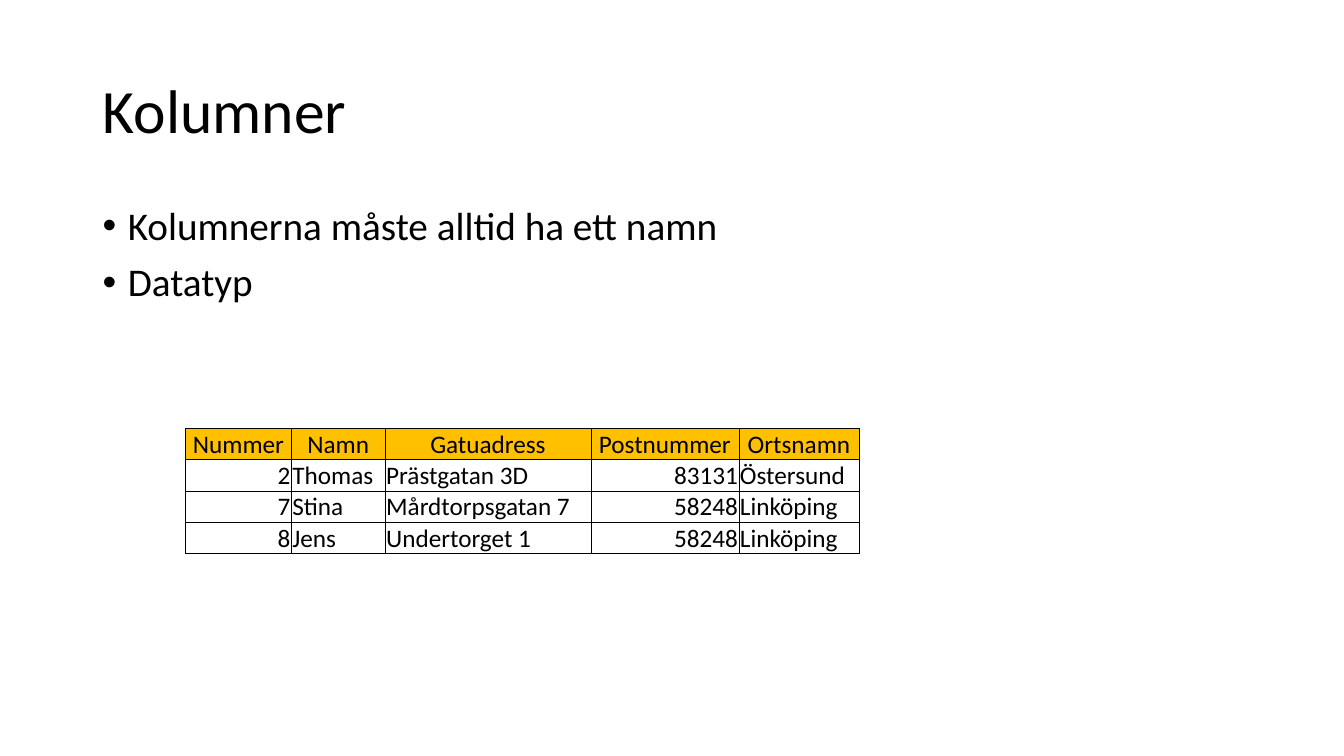
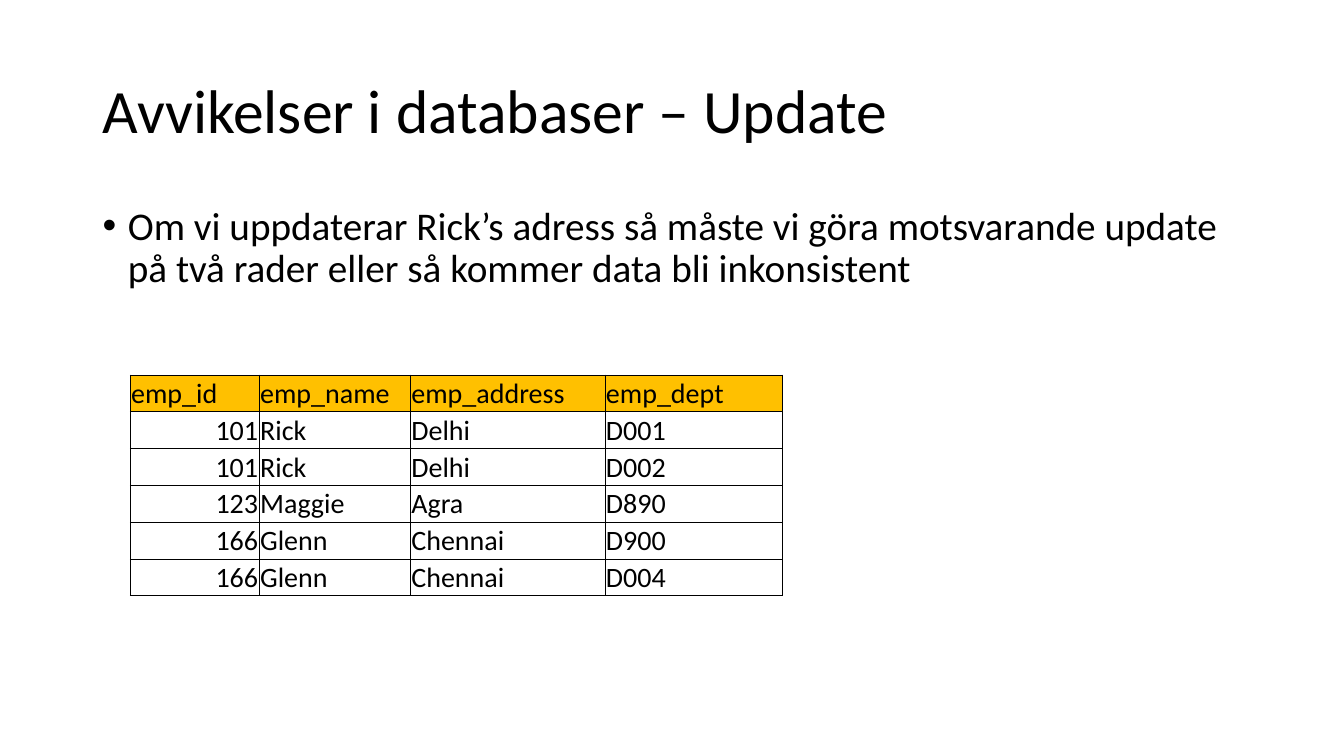
from dataclasses import dataclass

from lxml import etree
from pptx import Presentation
from pptx.dml.color import RGBColor
from pptx.enum.text import MSO_ANCHOR, PP_ALIGN
from pptx.oxml.ns import qn
from pptx.slide import Slide
from pptx.table import _Cell
from pptx.text.text import TextFrame, _Paragraph
from pptx.util import Inches, Pt

MIDDLE, TOP = MSO_ANCHOR.MIDDLE, MSO_ANCHOR.TOP
LEFT, CENTER, RIGHT = PP_ALIGN.LEFT, PP_ALIGN.CENTER, PP_ALIGN.RIGHT
FONT = "Calibri"
BLACK = "000000"
HEADER_FILL = "FFC000"
CONTENT_LEFT, CONTENT_WIDTH = 0.92, 11.5


@dataclass(frozen=True)
class DataTable:
    left: float
    top: float
    height: float
    column_widths: list[float]
    font_size: int
    header_align: int
    rows: list[list[str]]


@dataclass(frozen=True)
class Page:
    title: str
    bullets: list[str]
    data: DataTable


PAGES = [
    Page(
        "Kolumner",
        ["Kolumnerna måste alltid ha ett namn", "Datatyp"],
        DataTable(1.84, 4.25, 1.24, [1.05, 0.93, 2.04, 1.47, 1.19], 18, CENTER, [
            ["Nummer", "Namn", "Gatuadress", "Postnummer", "Ortsnamn"],
            ["2", "Thomas", "Prästgatan 3D", "83131", "Östersund"],
            ["7", "Stina", "Mårdtorpsgatan 7", "58248", "Linköping"],
            ["8", "Jens", "Undertorget 1", "58248", "Linköping"],
        ]),
    ),
    Page(
        "Avvikelser i databaser – Update",
        ["Om vi uppdaterar Rick’s adress så måste vi göra motsvarande update "
         "på två rader eller så kommer data bli inkonsistent"],
        DataTable(1.29, 3.72, 2.19, [1.28, 1.5, 1.93, 1.76], 20, LEFT, [
            ["emp_id", "emp_name", "emp_address", "emp_dept"],
            ["101", "Rick", "Delhi", "D001"],
            ["101", "Rick", "Delhi", "D002"],
            ["123", "Maggie", "Agra", "D890"],
            ["166", "Glenn", "Chennai", "D900"],
            ["166", "Glenn", "Chennai", "D004"],
        ]),
    ),
]


def color(hex_code: str) -> RGBColor:
    return RGBColor.from_string(hex_code)


def style_runs(paragraph: _Paragraph, size: int) -> None:
    for run in paragraph.runs:
        run.font.name = FONT
        run.font.size = Pt(size)
        run.font.color.rgb = color(BLACK)


def add_text_area(slide: Slide, top: float, height: float, anchor: int) -> TextFrame:
    area = slide.shapes.add_textbox(
        Inches(CONTENT_LEFT), Inches(top), Inches(CONTENT_WIDTH), Inches(height))
    frame = area.text_frame
    frame.word_wrap = True
    frame.vertical_anchor = anchor
    return frame


def add_title(slide: Slide, title: str) -> None:
    frame = add_text_area(slide, 0.4, 1.45, MIDDLE)
    frame.text = title
    frame.paragraphs[0].line_spacing = 0.9
    style_runs(frame.paragraphs[0], 44)


def add_bullets(slide: Slide, bullets: list[str]) -> None:
    frame = add_text_area(slide, 2, 4.76, TOP)
    frame.text = "\n".join(bullets)
    for index, paragraph in enumerate(frame.paragraphs):
        properties = paragraph._p.get_or_add_pPr()
        properties.set("marL", str(Inches(0.25)))
        properties.set("indent", str(Inches(-0.25)))
        etree.SubElement(properties, qn("a:buFont")).set("typeface", "Arial")
        etree.SubElement(properties, qn("a:buChar")).set("char", "•")
        paragraph.line_spacing = 0.9
        paragraph.space_before = Pt(10 if index else 0)
        style_runs(paragraph, 28)


def add_borders(cell: _Cell) -> None:
    properties = cell._tc.get_or_add_tcPr()
    for side in ("lnL", "lnR", "lnT", "lnB"):
        border = etree.SubElement(properties, qn(f"a:{side}"))
        border.set("w", str(Pt(0.5)))
        fill = etree.SubElement(border, qn("a:solidFill"))
        etree.SubElement(fill, qn("a:srgbClr")).set("val", BLACK)


def fill_cell(cell: _Cell, text: str, is_header: bool, data: DataTable) -> None:
    cell.margin_left = cell.margin_top = cell.margin_right = Inches(0.01)
    cell.margin_bottom = 0
    cell.vertical_anchor = MIDDLE
    add_borders(cell)
    if is_header:
        cell.fill.solid()
        cell.fill.fore_color.rgb = color(HEADER_FILL)
    else:
        cell.fill.background()
    cell.text_frame.text = text
    paragraph = cell.text_frame.paragraphs[0]
    body_align = RIGHT if text.isdigit() else LEFT
    paragraph.alignment = data.header_align if is_header else body_align
    style_runs(paragraph, data.font_size)


def add_data_table(slide: Slide, data: DataTable) -> None:
    table = slide.shapes.add_table(
        len(data.rows), len(data.column_widths), Inches(data.left), Inches(data.top),
        Inches(sum(data.column_widths)), Inches(data.height)).table
    table.first_row = False
    table.horz_banding = False
    for column, width in zip(table.columns, data.column_widths):
        column.width = Inches(width)
    for row_index, row in enumerate(data.rows):
        for column_index, text in enumerate(row):
            fill_cell(table.cell(row_index, column_index), text, row_index == 0, data)


def main() -> None:
    presentation = Presentation()
    presentation.slide_width = Inches(13.33)
    presentation.slide_height = Inches(7.5)
    blank_layout = presentation.slide_layouts[6]
    for page in PAGES:
        slide = presentation.slides.add_slide(blank_layout)
        add_title(slide, page.title)
        add_bullets(slide, page.bullets)
        add_data_table(slide, page.data)
    presentation.save("out.pptx")


if __name__ == "__main__":
    main()
